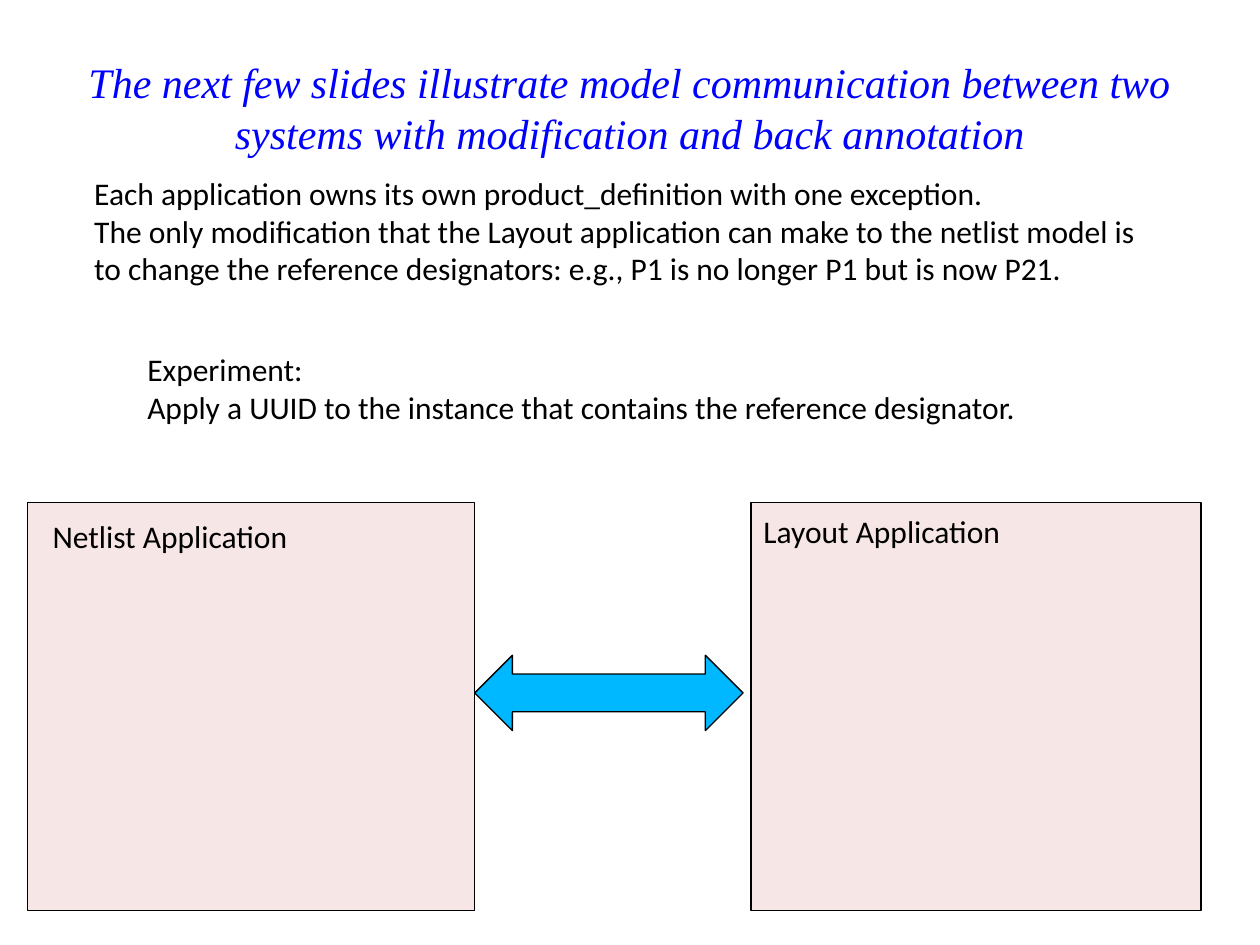
from pptx import Presentation
from pptx.dml.color import RGBColor
from pptx.enum.shapes import MSO_SHAPE
from pptx.enum.text import MSO_ANCHOR, MSO_AUTO_SIZE, PP_ALIGN
from pptx.oxml.ns import qn
from pptx.util import Cm, Pt
from lxml import etree

PANEL, ARROW = MSO_SHAPE.FLOWCHART_PROCESS, MSO_SHAPE.LEFT_RIGHT_ARROW
TOP, BOTTOM = MSO_ANCHOR.TOP, MSO_ANCHOR.BOTTOM
LEFT, CENTER = PP_ALIGN.LEFT, PP_ALIGN.CENTER
GROW, FIXED = MSO_AUTO_SIZE.SHAPE_TO_FIT_TEXT, MSO_AUTO_SIZE.NONE

theme = {
    "title": ("Times New Roman", 24, "0000FF", True),
    "body": ("Calibri", 18, "000000", False),
    "panel": "E6B9B8",
    "arrow": "00B8FF",
    "line": "000000",
}

deck = Presentation()
deck.slide_width, deck.slide_height = Cm(25.4), Cm(19.05)
slide = deck.slides.add_slide(deck.slide_layouts[6])


def add_block(kind, box, color, alpha=None):
    block = slide.shapes.add_shape(kind, *map(Cm, box))
    block.shadow.inherit = False
    block.fill.solid()
    block.fill.fore_color.rgb = RGBColor.from_string(color)
    block.line.color.rgb = RGBColor.from_string(theme["line"])
    block.line.width = Pt(0.75)
    if alpha:
        tint = block.fill._xPr.find(qn("a:solidFill"))[0]
        etree.SubElement(tint, qn("a:alpha")).set("val", str(alpha * 1000))


def add_text(box, lines, style="body", wrap=True, align=LEFT, anchor=TOP, fit=GROW):
    frame = slide.shapes.add_textbox(*map(Cm, box)).text_frame
    frame.word_wrap = wrap
    frame.auto_size = fit
    frame.vertical_anchor = anchor
    frame.text = "\n".join(lines)
    name, size, color, slant = theme[style]
    for para in frame.paragraphs:
        para.alignment = align
        para.font.name = name
        para.font.size = Pt(size)
        para.font.italic = slant
        para.font.color.rgb = RGBColor.from_string(color)


# Title
add_text((1.19, 0.61, 23.01, 2.69),
         ["The next few slides illustrate model communication between two "
          "systems with modification and back annotation"],
         "title", align=CENTER, anchor=BOTTOM, fit=FIXED)

# Ownership rule and experiment
add_text((1.65, 3.38, 21.92, 2.57),
         ["Each application owns its own product_definition with one exception.",
          "The only modification that the Layout application can make to the netlist "
          "model is to change the reference designators: e.g., P1 is no longer P1 "
          "but is now P21."])
add_text((2.72, 6.93, 18.36, 1.8),
         ["Experiment:",
          "Apply a UUID to the instance that contains the reference designator."],
         wrap=False)

# Application panels with their labels
for left, width, label, x, y, span in (
    (0.56, 9, "Netlist Application", 0.81, 10.29, 5.41),
    (15.14, 9.07, "Layout Application", 15.14, 10.19, 5.49),
):
    add_block(PANEL, (left, 10.13, width, 8.23), theme["panel"], 34)
    add_text((x, y, span, 1.02), [label], wrap=False)

# Exchange arrow
add_block(ARROW, (9.57, 13.21, 5.41, 1.52), theme["arrow"])

deck.save("out.pptx")
